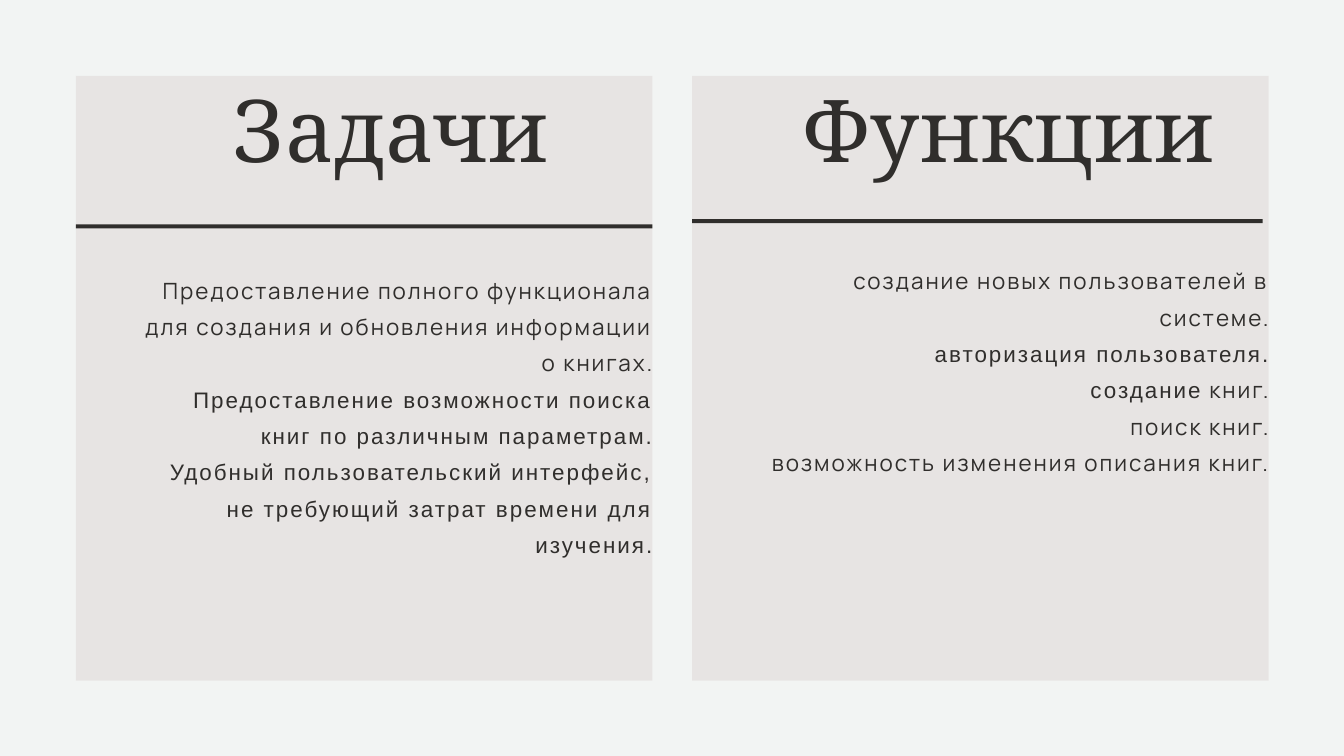
import pptx
import pptx.dml.color
import pptx.enum.shapes
import pptx.enum.text
import pptx.oxml.ns
import pptx.util
from lxml import etree

Inches = pptx.util.Inches
Pt = pptx.util.Pt
RGBColor = pptx.dml.color.RGBColor
ALIGN = pptx.enum.text.PP_ALIGN

BACKGROUND = RGBColor(0xF2, 0xF4, 0xF3)
PANEL = RGBColor(0xBE, 0xA8, 0xA7)
INK = RGBColor(0x30, 0x2E, 0x2C)

HEADING_FONT = "Cambria"
BODY_FONT = "Manrope"
ACCENT_FONT = "Arial"


def add_span(para, text, *, font, size, color, spacing):
    span = para.add_run()
    span.text = text
    span.font.name = font
    span.font.size = Pt(size)
    span.font.color.rgb = color
    span._r.get_or_add_rPr().set("spc", str(round(spacing * 100)))


class SlideBuilder:
    def __init__(self, page):
        self.page = page
        self.heading_style = {"size": 92.8, "color": INK, "spacing": 0.9}
        self.body_style = {"size": 24, "color": INK, "spacing": 2.16}
        page.background.fill.solid()
        page.background.fill.fore_color.rgb = BACKGROUND

    def rectangle(self, left, top, width, height, color, opacity=100):
        shape = self.page.shapes.add_shape(
            pptx.enum.shapes.MSO_SHAPE.RECTANGLE,
            Inches(left), Inches(top), Inches(width), Inches(height))
        shape.shadow.inherit = False
        shape.line.fill.background()
        shape.fill.solid()
        shape.fill.fore_color.rgb = color
        if opacity < 100:
            tint = shape._element.spPr.find(".//" + pptx.oxml.ns.qn("a:srgbClr"))
            alpha = etree.SubElement(tint, pptx.oxml.ns.qn("a:alpha"))
            alpha.set("val", str(opacity * 1000))

    def text(self, left, top, width, height, paragraphs, align, leading, style):
        box = self.page.shapes.add_textbox(
            Inches(left), Inches(top), Inches(width), Inches(height))
        frame = box.text_frame
        frame.word_wrap = True
        frame.margin_left = frame.margin_right = 0
        frame.margin_top = frame.margin_bottom = 0
        for index, spans in enumerate(paragraphs):
            para = frame.paragraphs[0] if index == 0 else frame.add_paragraph()
            para.alignment = align
            para.line_spacing = Pt(leading)
            for text, font in spans:
                add_span(para, text, font=font, **style)

    def heading(self, left, top, width, title):
        self.text(left, top, width, 1.54, [[(title, HEADING_FONT)]],
                  ALIGN.CENTER, 111.3, self.heading_style)

    def body(self, left, top, width, height, paragraphs):
        self.text(left, top, width, height, paragraphs,
                  ALIGN.RIGHT, 38.9, self.body_style)


TASKS = [
    [("Предоставление полного функционала для создания и обновления "
      "информации о книгах.", BODY_FONT)],
    [(" Предоставление возможности поиска книг по различным параметрам.",
      ACCENT_FONT)],
    [(" Удобный пользовательский интерфейс, не требующий затрат времени "
      "для изучения.", ACCENT_FONT)],
]
FUNCTIONS = [
    [("создание новых пользователей в системе.", BODY_FONT)],
    [(" авторизация пользователя.", ACCENT_FONT)],
    [(" создание", ACCENT_FONT), (" книг.", BODY_FONT)],
    [(" поиск книг.", BODY_FONT)],
    [(" возможность изменения описания книг.", BODY_FONT)],
]


def main():
    deck = pptx.Presentation()
    deck.slide_width = Inches(20)
    deck.slide_height = Inches(11.25)
    builder = SlideBuilder(deck.slides.add_slide(deck.slide_layouts[6]))

    panel_lefts = (1.13, 10.3)
    for left in panel_lefts:
        builder.rectangle(left, 1.13, 8.58, 9, PANEL, opacity=20)

    builder.heading(1.91, 1.13, 7.8, "Задачи")
    builder.body(1.91, 3.98, 7.8, 5.84, TASKS)
    builder.rectangle(panel_lefts[0], 3.34, 8.58, 0.06, INK)

    builder.heading(11.16, 1.13, 7.72, "Функции")
    builder.body(11.16, 3.84, 7.72, 3.15, FUNCTIONS)
    builder.rectangle(panel_lefts[1], 3.26, 8.49, 0.06, INK)

    deck.save("out.pptx")


if __name__ == "__main__":
    main()
